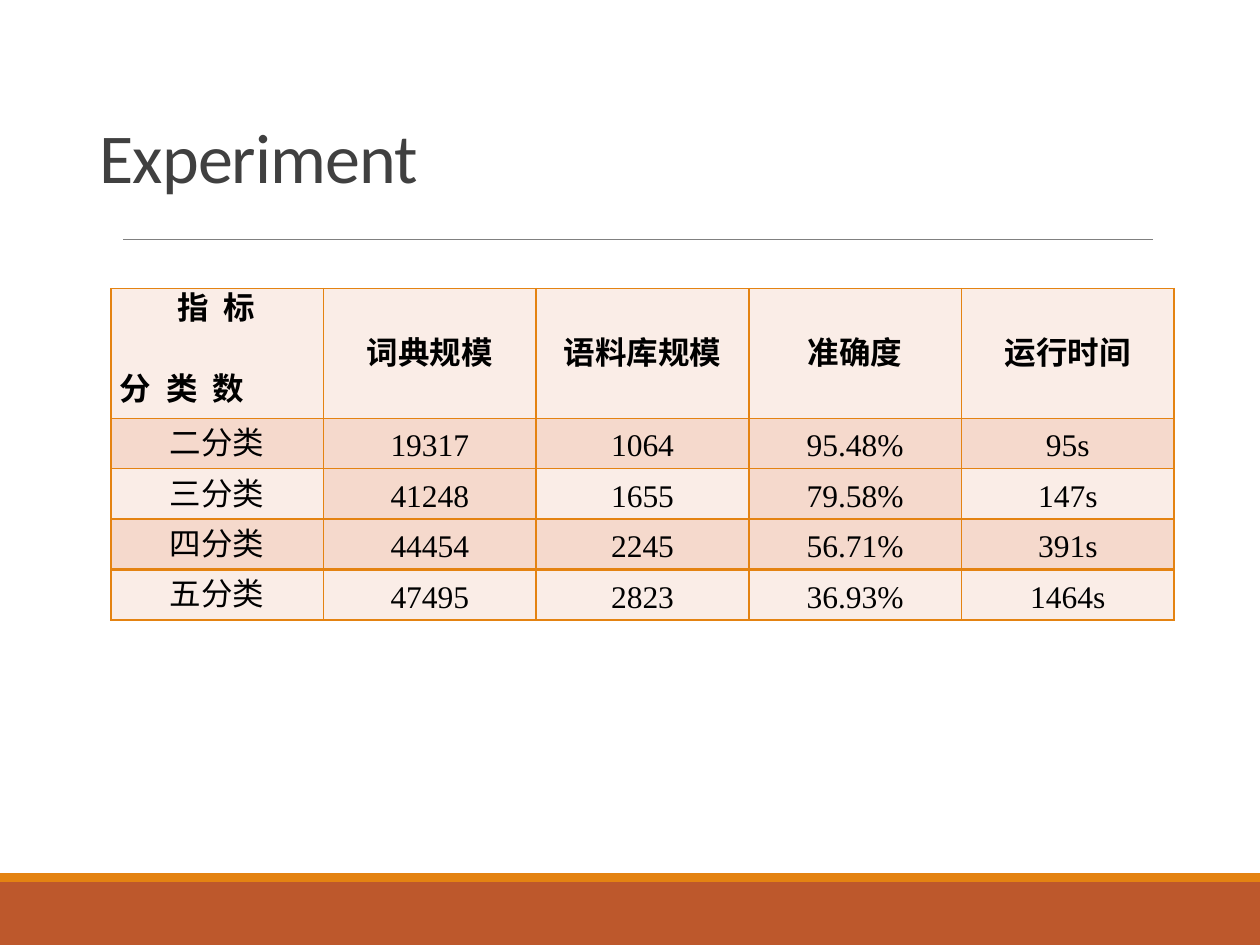
from lxml import etree
from pptx import Presentation, util as u
from pptx.dml.color import RGBColor
from pptx.enum import shapes, text
from pptx.oxml import ns

COLORS = {
    "rust": "BD582C", "orange": "E48312", "rule": "808080", "title": "404040",
    "ink": "000000", "light": "FAEDE7", "dark": "F5D9CC",
}
HEADERS = ["词典规模", "语料库规模", "准确度", "运行时间"]
RESULTS = [
    ["二分类", "19317", "1064", "95.48%", "95s"],
    ["三分类", "41248", "1655", "79.58%", "147s"],
    ["四分类", "44454", "2245", "56.71%", "391s"],
    ["五分类", "47495", "2823", "36.93%", "1464s"],
]
DARK_CELLS = {(2, 1), (2, 3)}


def rgb(name):
    return RGBColor.from_string(COLORS[name])


def add_run(paragraph, words, size, font, color, bold=False, spacing=0):
    run = paragraph.add_run()
    run.text = words
    run.font.size = u.Pt(size)
    run.font.name = font
    run.font.bold = bold
    run.font.color.rgb = rgb(color)
    if spacing:
        run.font._element.set("spc", str(round(spacing * 100)))


def add_band(slide, box, color):
    band = slide.shapes.add_shape(shapes.MSO_SHAPE.RECTANGLE, *map(u.Inches, box))
    band.shadow.inherit = False
    band.fill.solid()
    band.fill.fore_color.rgb = rgb(color)
    band.line.fill.background()


def add_footer(slide, left, top, width, height):
    stripe = 0.07
    add_band(slide, (left, top + stripe, width, height - stripe), "rust")
    add_band(slide, (left, top, width, stripe), "orange")


def add_rule(slide, left, top, width):
    rule = slide.shapes.add_connector(
        shapes.MSO_CONNECTOR.STRAIGHT, u.Inches(left), u.Inches(top),
        u.Inches(left + width), u.Inches(top))
    rule.line.color.rgb = rgb("rule")
    rule.line.width = u.Pt(0.5)
    etree.SubElement(rule._element.spPr, ns.qn("a:effectLst"))


def add_title(slide, left, top, width, height):
    title = slide.shapes.title
    title.left, title.top = u.Inches(left), u.Inches(top)
    title.width, title.height = u.Inches(width), u.Inches(height)
    frame = title.text_frame
    frame.auto_size = text.MSO_AUTO_SIZE.NONE
    frame.vertical_anchor = text.MSO_ANCHOR.BOTTOM
    heading = frame.paragraphs[0]
    heading.alignment = text.PP_ALIGN.LEFT
    heading.line_spacing = 0.85
    add_run(heading, "Experiment", 40, "Calibri", "title", spacing=-0.5)


def set_borders(cell, top_width):
    properties = cell._tc.get_or_add_tcPr()
    for side, width in (("L", 1), ("R", 1), ("T", top_width), ("B", 1)):
        border = etree.SubElement(properties, ns.qn("a:ln" + side), w=str(u.Pt(width)))
        fill = etree.SubElement(border, ns.qn("a:solidFill"))
        etree.SubElement(fill, ns.qn("a:srgbClr"), val=COLORS["orange"])


def write_line(paragraph, words, alignment, bold, spacing=0):
    paragraph.alignment = alignment
    paragraph.line_spacing = u.Pt(23)
    add_run(paragraph, words, 18, "Times New Roman", "ink", bold, spacing)


def style_cell(cell, fill, top_width=1):
    cell.margin_left = cell.margin_right = u.Inches(0.07)
    cell.margin_top = cell.margin_bottom = 0
    set_borders(cell, top_width)
    cell.fill.solid()
    cell.fill.fore_color.rgb = rgb(fill)


def fill_corner(cell):
    style_cell(cell, "light")
    cell.vertical_anchor = text.MSO_ANCHOR.TOP
    metric = cell.text_frame.paragraphs[0]
    metric._p.get_or_add_pPr().set("marL", str(u.Inches(0.46)))
    write_line(metric, "指 标", text.PP_ALIGN.JUSTIFY, True, 2.25)
    classes = cell.text_frame.add_paragraph()
    classes.space_before = u.Pt(23)
    write_line(classes, "分 类 数", text.PP_ALIGN.JUSTIFY, True, 2.25)


def add_results(slide, left, top, width, height):
    row_count, column_count = len(RESULTS) + 1, len(HEADERS) + 1
    row_height = 0.4
    table = slide.shapes.add_table(
        row_count, column_count, *map(u.Inches, (left, top, width, height))).table
    for column in table.columns:
        column.width = u.Inches(width / column_count)
    for row in table.rows:
        row.height = u.Inches(row_height)
    table.rows[0].height = u.Inches(height - row_height * len(RESULTS))

    fill_corner(table.cell(0, 0))
    for r, values in enumerate([[None, *HEADERS], *RESULTS]):
        for c, value in enumerate(values):
            if value is None:
                continue
            cell = table.cell(r, c)
            dark = r % 2 == 1 or (r, c) in DARK_CELLS
            style_cell(cell, "dark" if dark else "light",
                       2 if r == row_count - 1 else 1)
            cell.vertical_anchor = text.MSO_ANCHOR.MIDDLE
            write_line(cell.text_frame.paragraphs[0], value,
                       text.PP_ALIGN.CENTER, r == 0)


def main():
    deck = Presentation()
    deck.slide_width, deck.slide_height = u.Inches(10), u.Inches(7.5)
    slide = deck.slides.add_slide(deck.slide_layouts[5])
    add_footer(slide, 0, 6.93, 10, 0.57)
    add_rule(slide, 0.98, 1.9, 8.17)
    add_title(slide, 0.69, 0.15, 8.62, 1.47)
    add_results(slide, 0.88, 2.29, 8.44, 2.63)
    deck.save("out.pptx")


if __name__ == "__main__":
    main()
